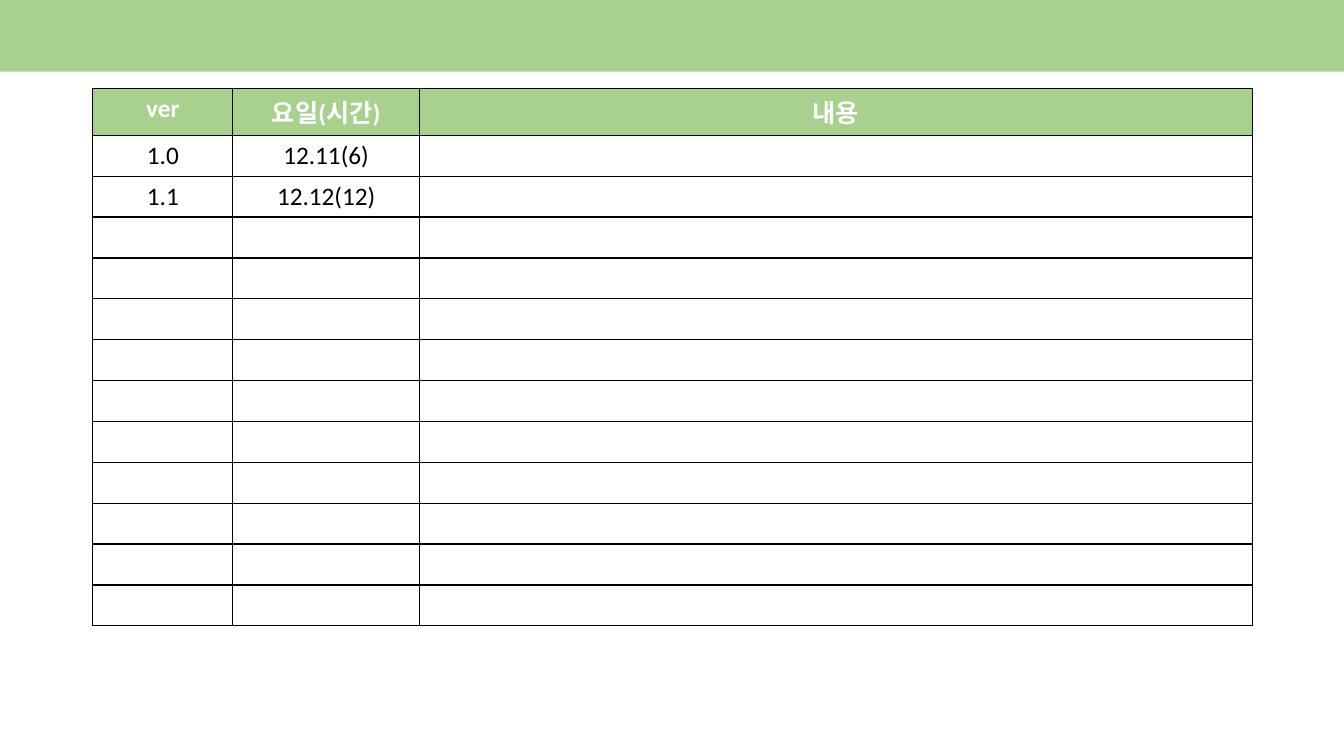
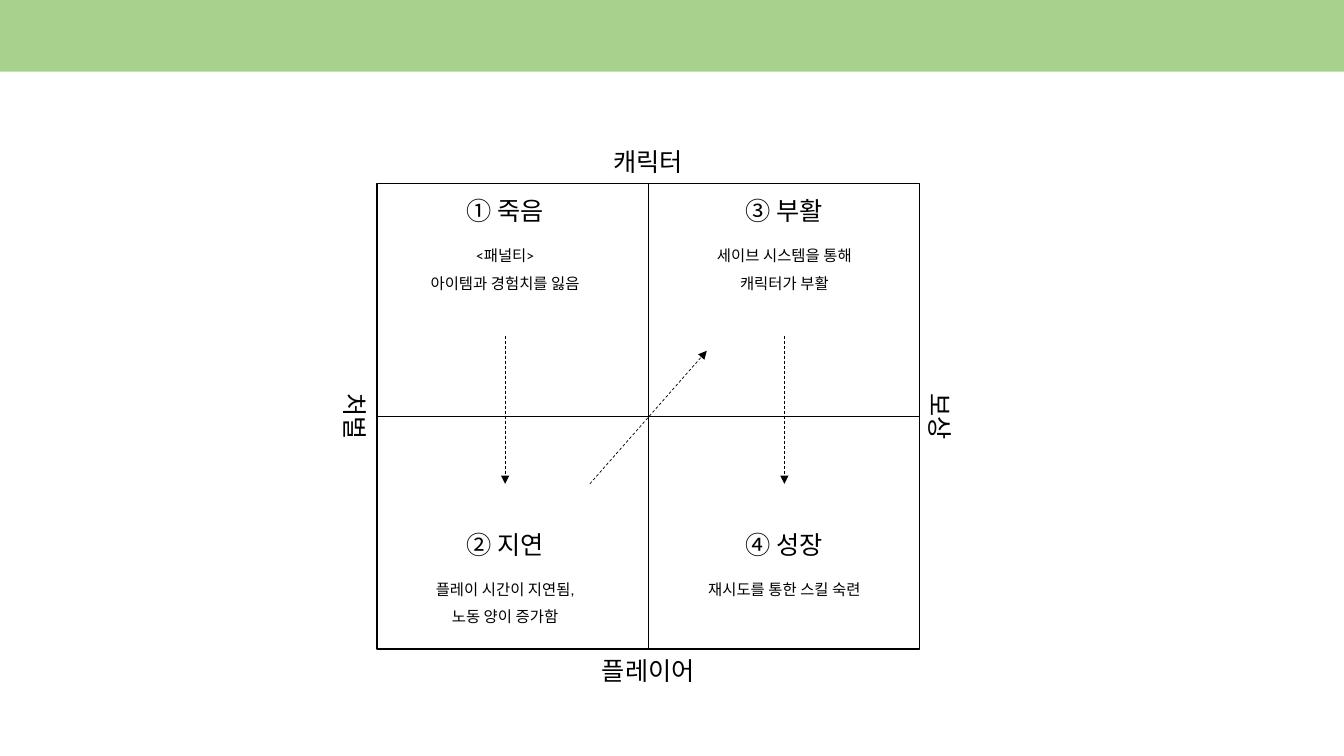
from dataclasses import dataclass

from lxml.etree import SubElement
from pptx import Presentation
from pptx.dml.color import RGBColor
from pptx.enum.dml import MSO_LINE
from pptx.enum.shapes import MSO_CONNECTOR, MSO_SHAPE
from pptx.enum.text import MSO_ANCHOR, MSO_AUTO_SIZE, PP_ALIGN
from pptx.oxml.ns import qn
from pptx.presentation import Presentation as Deck
from pptx.slide import Slide
from pptx.table import _Cell as Cell
from pptx.text.text import TextFrame
from pptx.util import Inches, Pt


@dataclass(frozen=True)
class Theme:
    green: RGBColor = RGBColor(0xA9, 0xD1, 0x8E)
    black: RGBColor = RGBColor(0, 0, 0)
    white: RGBColor = RGBColor(0xFF, 0xFF, 0xFF)
    font: str = "Calibri"
    head: float = 18
    body: float = 11
    thin: float = 0.5
    thick: float = 1


@dataclass(frozen=True)
class Label:
    """A text box placed by its centre and top."""
    text: str
    mid: float
    top: float
    width: float
    turn: float = 0


@dataclass(frozen=True)
class Quad:
    title: str
    text: str
    mid: float
    top: float


@dataclass(frozen=True)
class Line:
    x1: float
    y1: float
    x2: float
    y2: float
    arrow: bool = False


THEME = Theme()
WIDE, HIGH, BAND = 13.33, 7.5, 0.71

# Version table
HEADS = ("ver", "요일(시간)", "내용")
LOG = (("1.0", "12.11(6)", ""), ("1.1", "12.12(12)", ""))
COLS = (1.39, 1.85, 8.26)
ROWS, ROW = 13, 0.405

# Quadrant chart: outer box, column centres and row tops
LEFT, TOP, SPAN, TALL = 3.74, 1.82, 5.38, 4.62
RIGHT, BASE = LEFT + SPAN, TOP + TALL
MID_X, MID_Y = LEFT + SPAN / 2, TOP + TALL / 2
COL_A, COL_B = 5.01, 7.78
UP, DOWN = 1.89, 5.2

QUADS = (
    Quad("① 죽음", "<패널티>\n아이템과 경험치를 잃음", COL_A, UP),
    Quad("② 지연", "플레이 시간이 지연됨,\n노동 양이 증가함", COL_A, DOWN),
    Quad("③ 부활", "세이브 시스템을 통해 캐릭터가 부활", COL_B, UP),
    Quad("④ 성장", "재시도를 통한 스킬 숙련", COL_B, DOWN),
)
SIDES = (
    Label("캐릭터", MID_X, 1.4, 0.96),
    Label("플레이어", MID_X, 6.45, 1.21),
    Label("처벌", 3.53, 3.93, 0.71, turn=90),
    Label("보상", 9.33, 3.93, 0.71, turn=90),
)
LINES = (
    Line(MID_X, TOP, MID_X, BASE),
    Line(LEFT, MID_Y, RIGHT, MID_Y),
    Line(COL_A, 3.33, COL_A, 4.8, arrow=True),
    Line(5.85, 4.8, 7.01, 3.48, arrow=True),
    Line(COL_B, 3.33, COL_B, 4.8, arrow=True),
)


def write(frame: TextFrame, text: str, *, size: float = THEME.head,
          color: RGBColor = THEME.black, bold: bool = False,
          space: float = 1) -> None:
    """Fill a frame with centred text, one paragraph a line."""
    frame.text = text
    for para in frame.paragraphs:
        para.alignment = PP_ALIGN.CENTER
        para.line_spacing = space
        for run in para.runs:
            font = run.font
            font.name, font.size, font.bold = THEME.font, Pt(size), bold
            font.color.rgb = color


def add_band(deck: Deck, slide: Slide) -> None:
    """Move a green top band to the layout that all slides use."""
    band = slide.shapes.add_shape(
        MSO_SHAPE.RECTANGLE, 0, 0, deck.slide_width, Inches(BAND))
    band.shadow.inherit = False
    band.fill.solid()
    band.fill.fore_color.rgb = THEME.green
    band.line.fill.background()
    slide.slide_layout.shapes.element.insert(2, band.element)


def add_text(slide: Slide, label: Label, *, wrap: bool = False,
             size: float = THEME.head, space: float = 1) -> None:
    box = slide.shapes.add_textbox(
        Inches(label.mid - label.width / 2), Inches(label.top),
        Inches(label.width), Inches(0.4))
    box.rotation = label.turn
    frame = box.text_frame
    frame.word_wrap = wrap
    frame.auto_size = MSO_AUTO_SIZE.SHAPE_TO_FIT_TEXT
    write(frame, label.text, size=size, space=space)


def add_line(slide: Slide, line: Line) -> None:
    link = slide.shapes.add_connector(
        MSO_CONNECTOR.STRAIGHT, Inches(line.x1), Inches(line.y1),
        Inches(line.x2), Inches(line.y2))
    link.line.width = Pt(THEME.thin)
    link.line.color.rgb = THEME.black
    props = link.element.spPr
    if line.arrow:
        link.line.dash_style = MSO_LINE.DASH
        SubElement(props.find(qn("a:ln")), qn("a:tailEnd"), type="triangle")
    SubElement(props, qn("a:effectLst"))


def style(cell: Cell, fill: RGBColor) -> None:
    """Give a cell four borders and a fill."""
    props = cell._tc.get_or_add_tcPr()
    for side in ("lnL", "lnR", "lnT", "lnB"):
        edge = SubElement(props, qn(f"a:{side}"), w=str(Pt(THEME.thick)))
        paint = SubElement(edge, qn("a:solidFill"))
        SubElement(paint, qn("a:srgbClr"), val=str(THEME.black))
    cell.fill.solid()
    cell.fill.fore_color.rgb = fill


def draw_log(slide: Slide) -> None:
    table = slide.shapes.add_table(
        ROWS, len(COLS), Inches(0.92), Inches(0.88),
        Inches(sum(COLS)), Inches(ROWS * ROW)).table
    table.first_row = table.horz_banding = False
    for col, width in zip(table.columns, COLS):
        col.width = Inches(width)
    blank = ("",) * len(COLS)
    data = (HEADS, *LOG) + (blank,) * (ROWS - 1 - len(LOG))
    for r, texts in enumerate(data):
        table.rows[r].height = Inches(ROW)
        top = r == 0
        for c, text in enumerate(texts):
            cell = table.cell(r, c)
            style(cell, THEME.green if top else THEME.white)
            cell.vertical_anchor = MSO_ANCHOR.TOP if top else MSO_ANCHOR.MIDDLE
            write(cell.text_frame, text, bold=top,
                  color=THEME.white if top else THEME.black)


def draw_quads(slide: Slide) -> None:
    # Frame, axes and arrows
    box = slide.shapes.add_shape(
        MSO_SHAPE.RECTANGLE, Inches(LEFT), Inches(TOP),
        Inches(SPAN), Inches(TALL))
    box.shadow.inherit = False
    box.fill.background()
    box.line.color.rgb = THEME.black
    box.line.width = Pt(THEME.thick)
    for line in LINES:
        add_line(slide, line)
    # Quadrant texts and axis names
    for quad in QUADS:
        add_text(slide, Label(quad.title, quad.mid, quad.top, 1.02))
        add_text(slide, Label(quad.text, quad.mid, quad.top + 0.41, 2.12),
                 wrap=True, size=THEME.body, space=1.5)
    for side in SIDES:
        add_text(slide, side)


def main() -> None:
    deck = Presentation()
    deck.slide_width, deck.slide_height = Inches(WIDE), Inches(HIGH)
    blank = deck.slide_layouts[6]
    first, second = (deck.slides.add_slide(blank) for _ in range(2))
    add_band(deck, first)
    draw_log(first)
    draw_quads(second)
    deck.save("out.pptx")


if __name__ == "__main__":
    main()
